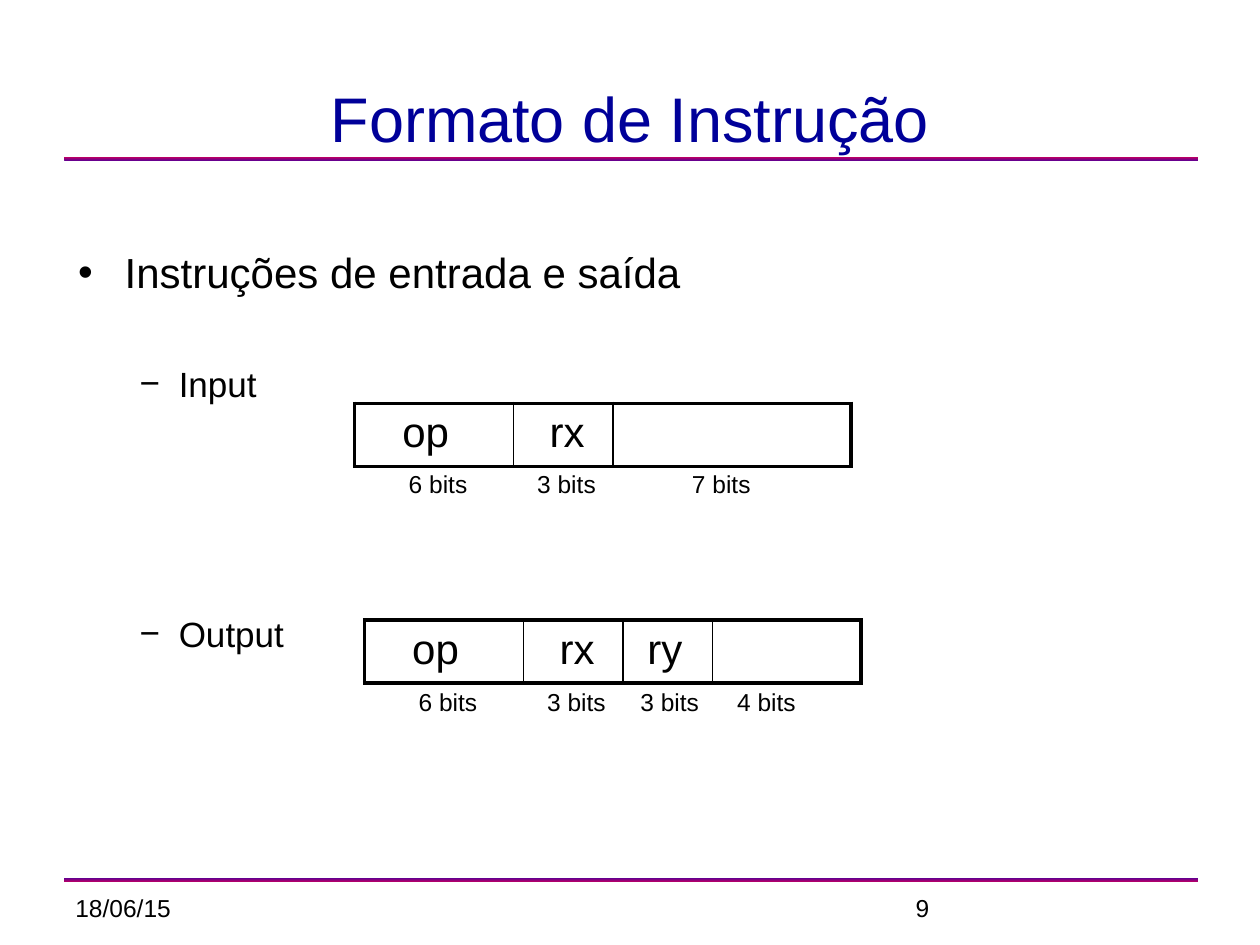
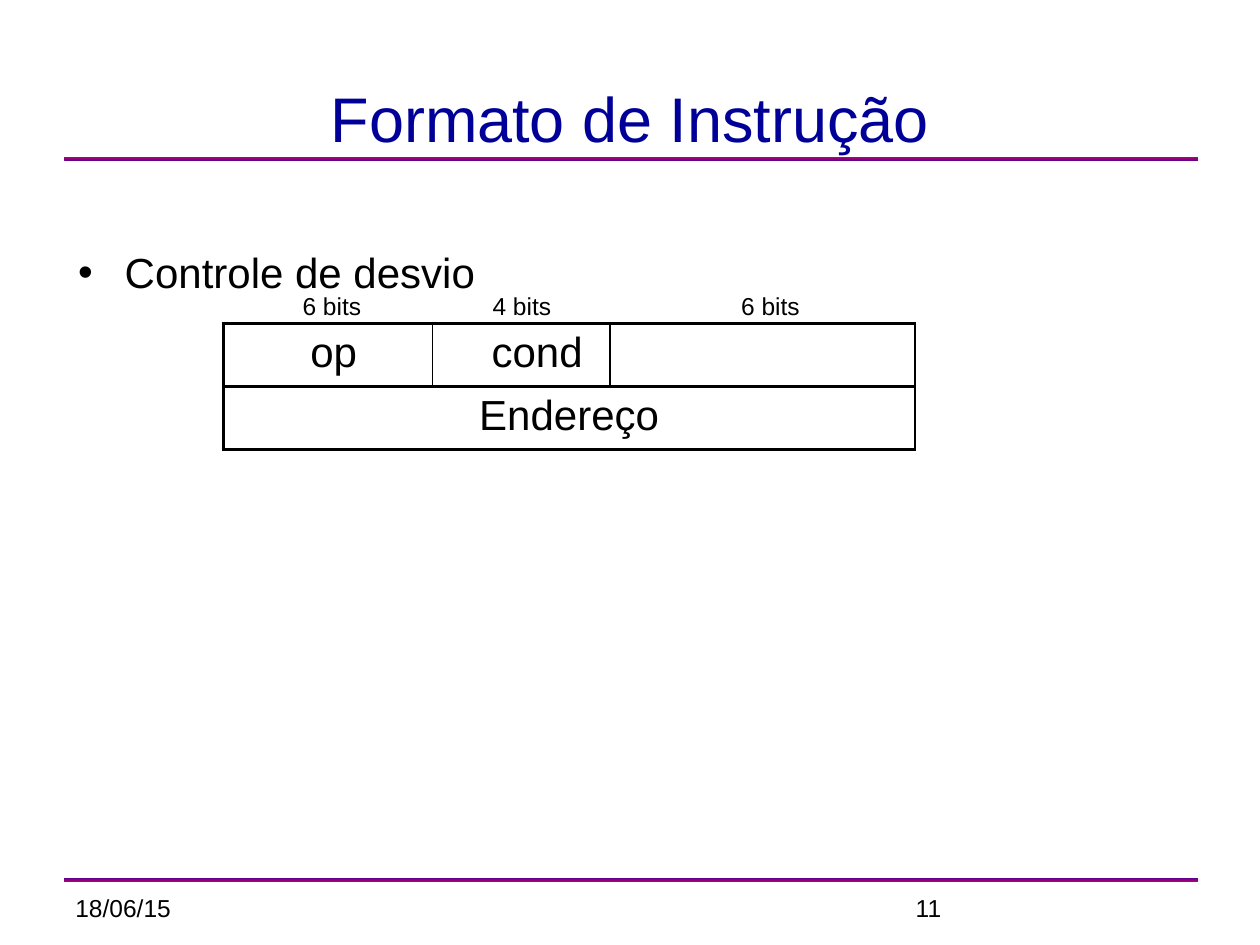
from collections import namedtuple

from lxml import etree
from pptx import Presentation
from pptx import util as u
from pptx.dml.color import RGBColor
from pptx.enum import shapes, text
from pptx.oxml.ns import qn

FONT = "Arial"
BLACK, NAVY = "000000", "000099"
PURPLE, MAGENTA = "66008F", "BA0066"
THICK, THIN = 2.21, 0.96
ROW_HEIGHT = 1.27

Box = namedtuple("Box", "left top width height")
Field = namedtuple("Field", "name width indent bits bits_left")
Item = namedtuple("Item", "words level before")
Level = namedtuple("Level", "bullet margin hanging size")

TITLE = Box(1.3, 1.25, 22.8, 2.0)
BODY = Box(1.29, 4.85, 22.8, 12.3)
FOOTER = Box(1.27, 17.88, 22.86, 0.84)
LEVELS = [Level("•", 0.97, 0.94, 24), Level("−", 2.06, 0.79, 20)]

OP = Field("op", 3.2, 0.96, "6 bits", 0.84)
RX = Field("rx", 2.01, 0.73, "3 bits", 3.43)
INPUT = [OP, RX, Field("", 4.8, 0.25, "7 bits", 6.55)]
OUTPUT = [OP, RX, Field("ry", 1.8, 0.49, "3 bits", 5.31),
          Field("", 3.0, 0.25, "4 bits", 7.26)]
BRANCH = [Field("op", 4.22, 0.49, "6 bits", 1.35),
          Field("cond", 3.58, 1.19, "4 bits", 5.18),
          Field("", 6.15, 0.25, "6 bits", 10.19)]


def colour(code):
    """Turn a hex string into a colour."""
    return RGBColor.from_string(code)


def place(shape, box):
    """Move a shape to a box given in centimetres."""
    shape.left, shape.top, shape.width, shape.height = map(u.Cm, box)


def style(para, size, code=BLACK):
    """Set the font of a paragraph."""
    para.font.name = FONT
    para.font.size = u.Pt(size)
    para.font.color.rgb = colour(code)


def add_label(page, words, box):
    """Write a small line of text in a box."""
    label = page.shapes.add_textbox(*map(u.Cm, box))
    label.text_frame.word_wrap = True
    para = label.text_frame.paragraphs[0]
    para.text = words
    style(para, 14)


def add_band(page, top, stops):
    """Draw a thin shaded band across the page."""
    band = page.shapes.add_shape(shapes.MSO_SHAPE.RECTANGLE,
                                 *map(u.Cm, (1.3, top, 22.86, 0.07)))
    band.shadow.inherit = False
    band.line.fill.background()
    band.fill.gradient()
    band.fill.gradient_angle = 90
    for stop, code in zip(band.fill.gradient_stops, stops):
        stop.color.rgb = colour(code)


def add_title(page, box, words):
    """Fill the title placeholder."""
    place(page.shapes.title, box)
    frame = page.shapes.title.text_frame
    frame.auto_size = text.MSO_AUTO_SIZE.NONE
    frame.vertical_anchor = text.MSO_ANCHOR.BOTTOM
    para = frame.paragraphs[0]
    para.text = words
    para.alignment = text.PP_ALIGN.CENTER
    style(para, 36, NAVY)


def add_list(page, box, items):
    """Fill the body placeholder with bulleted items."""
    body = page.placeholders[1]
    place(body, box)
    frame = body.text_frame
    frame.auto_size = text.MSO_AUTO_SIZE.NONE
    for index, item in enumerate(items):
        para = frame.add_paragraph() if index else frame.paragraphs[0]
        level = LEVELS[item.level]
        para.text = item.words
        para.level = item.level
        para.space_before = u.Pt(item.before)
        props = para._p.get_or_add_pPr()
        props.set("marL", str(u.Cm(level.margin)))
        props.set("indent", str(-u.Cm(level.hanging)))
        etree.SubElement(props, qn("a:buFont")).set("typeface", FONT)
        etree.SubElement(props, qn("a:buChar")).set("char", level.bullet)
        style(para, level.size)


def add_footer(page, box, number):
    """Write the date and the page number."""
    date = box._replace(width=5.92)
    add_label(page, "18/06/15", date)
    add_label(page, number, date._replace(left=box.left + 16.94))


def add_border(props, side, points):
    """Give one side of a cell a black line."""
    line = etree.SubElement(props, qn("a:ln" + side))
    line.set("w", str(u.Pt(points)))
    fill = etree.SubElement(line, qn("a:solidFill"))
    etree.SubElement(fill, qn("a:srgbClr")).set("val", BLACK)


def fill_cell(cell, words, indent, centred):
    """Write a field name in a cell."""
    cell.margin_left = u.Cm(indent)
    para = cell.text_frame.paragraphs[0]
    para.text = words
    if centred:
        para.alignment = text.PP_ALIGN.CENTER
    style(para, 24)


def add_format(page, left, top, fields, bits_top, operand=None):
    """Draw an instruction word, its bit counts and an optional operand row."""
    rows = 2 if operand else 1
    width = sum(field.width for field in fields)
    frame = page.shapes.add_table(
        rows, len(fields), *map(u.Cm, (left, top, width, rows * ROW_HEIGHT)))
    table = frame.table
    table.first_row = table.horz_banding = False
    for row in table.rows:
        row.height = u.Cm(ROW_HEIGHT)
    for index, field in enumerate(fields):
        table.columns[index].width = u.Cm(field.width)
        fill_cell(table.cell(0, index), field.name, field.indent,
                  operand and index == 0)
        add_label(page, field.bits,
                  Box(left + field.bits_left, top + bits_top, 1.9, 0.84))
    if operand:
        table.cell(1, 0).merge(table.cell(1, len(fields) - 1))
        fill_cell(table.cell(1, 0), operand, 0.25, True)
    right = THIN if operand else THICK
    for index, (cell, element) in enumerate(
            zip(table.iter_cells(), frame.element.iter(qn("a:tc")))):
        column = index % len(fields)
        if not cell.is_spanned:
            props = element.get_or_add_tcPr()
            last = column + cell.span_width == len(fields)
            add_border(props, "L", THIN if column else THICK)
            add_border(props, "R", right if last else THIN)
            add_border(props, "T", THICK)
            add_border(props, "B", THICK)
        cell.fill.background()


def add_page(deck, number, items):
    """Add a page with the shared title, bands and footer."""
    page = deck.slides.add_slide(deck.slide_layouts[1])
    add_band(page, 3.17, (PURPLE, MAGENTA))
    add_band(page, 17.71, (MAGENTA, PURPLE))
    add_title(page, TITLE, "Formato de Instrução")
    add_list(page, BODY, items)
    add_footer(page, FOOTER, number)
    return page


def main():
    """Build and save the deck."""
    deck = Presentation()
    deck.slide_width, deck.slide_height = u.Cm(25.4), u.Cm(19.05)

    page = add_page(deck, "9", [Item("Instruções de entrada e saída", 0, 0),
                                Item("Input", 1, 37),
                                Item("Output", 1, 119)])
    add_format(page, 7.15, 8.13, INPUT, 1.21)
    add_format(page, 7.35, 12.5, OUTPUT, 1.23)

    page = add_page(deck, "11", [Item("Controle de desvio", 0, 0)])
    add_format(page, 4.5, 6.52, BRANCH, -0.77, "Endereço")

    deck.save("out.pptx")


if __name__ == "__main__":
    main()
